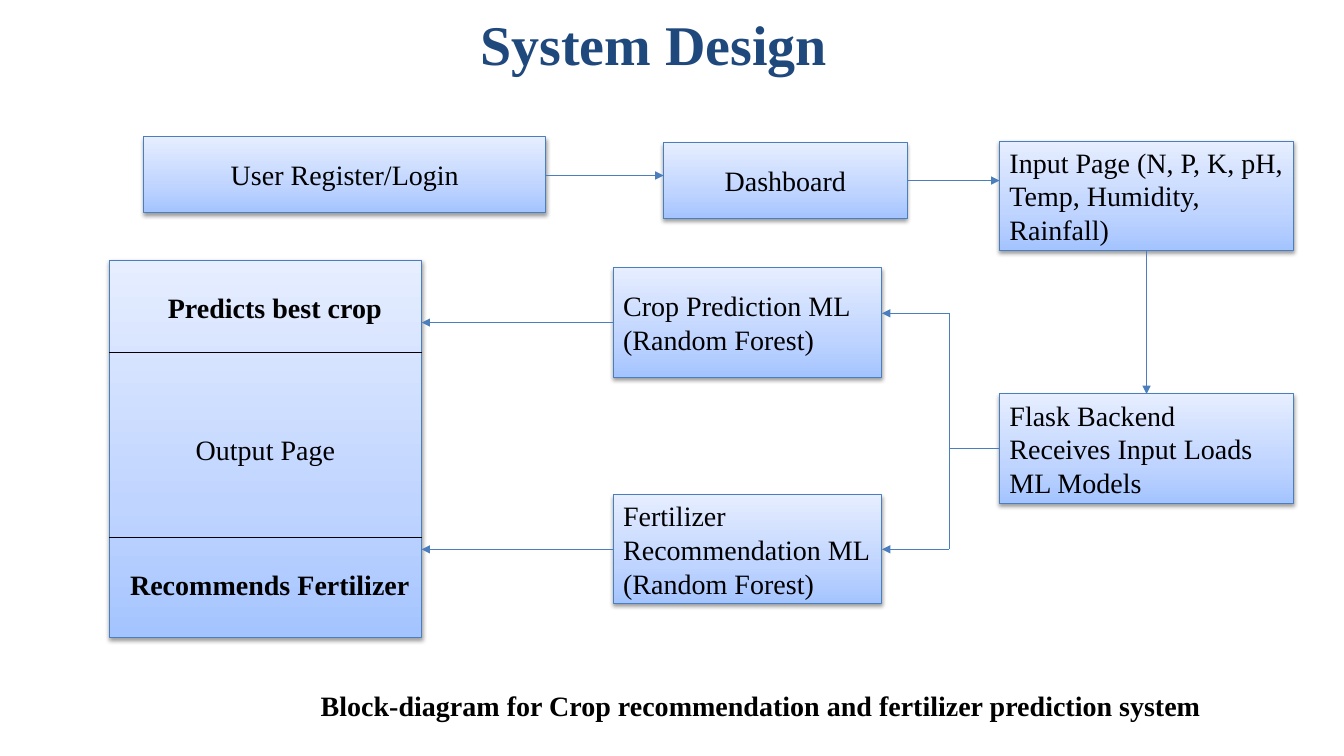
from dataclasses import dataclass

from lxml.etree import SubElement
from pptx import Presentation
from pptx.dml.color import RGBColor as RGB
from pptx.enum.shapes import MSO_CONNECTOR as Link, MSO_SHAPE as Kind
from pptx.enum.text import MSO_ANCHOR as Anchor, PP_ALIGN as Align
from pptx.oxml import parse_xml
from pptx.oxml.ns import nsdecls, qn
from pptx.shapes.autoshape import Shape
from pptx.util import Emu, Inches, Pt

# Grid: 160 columns by 90 rows of square cells
COLS, ROWS = 160, 90
CELL = Inches(7.5) / ROWS

FONT = "Times New Roman"
NAVY = RGB(0x1F, 0x48, 0x7C)
BLUE = RGB(0x4B, 0x7E, 0xBC)
BLACK = RGB(0, 0, 0)
LOW = RGB(0xA4, 0xC4, 0xFF)
MID = RGB(0xBF, 0xD4, 0xFF)
HIGH = RGB(0xE6, 0xEE, 0xFF)
STOPS = ((0, LOW), (35, MID), (100, HIGH))


@dataclass
class Box:
    text: str
    col: float
    row: float
    wide: float
    high: float
    align: Align = Align.LEFT


@dataclass
class Line:
    start: tuple[float, float]
    end: tuple[float, float]
    arrow: bool = True
    color: RGB = BLUE


@dataclass
class Label:
    text: str
    col: float
    row: float
    wide: float


# Blocks of the diagram; 13 rows hold three lines of text
LOGIN = Box("User Register/Login", 17.1, 16.3, 47.9, 9, Align.CENTER)
DASH = Box("Dashboard", 79, 17, 29, 9, Align.CENTER)
INPUT = Box("Input Page (N, P, K, pH, Temp, Humidity, Rainfall)", 119, 16.8, 35, 13)
BACK = Box("Flask Backend Receives Input Loads ML Models", 119, 46.9, 35, 13)
CROP = Box("Crop Prediction ML (Random Forest)", 73, 31.9, 32, 13)
FERT = Box("Fertilizer Recommendation ML (Random Forest)", 73, 58.9, 32, 13)
OUT = Box("Output Page", 13, 31, 37.2, 44.9, Align.CENTER)
BOXES = (LOGIN, DASH, INPUT, BACK, CROP, FERT, OUT)


def right(box: Box) -> float:
    return box.col + box.wide


# Flow lines, the fork to both models, and the dividers of the output block
FORK, TOP, BASE = 113, 37.3, 65.4
DROP = 136.5
MODEL = 38.4
SPLIT = 53.4
LINES = (
    Line((right(LOGIN), 20.9), (DASH.col, 20.9)),
    Line((right(DASH), 21.5), (INPUT.col, 21.5)),
    Line((DROP, INPUT.row + INPUT.high), (DROP, BACK.row)),
    Line((BACK.col, SPLIT), (FORK, SPLIT), arrow=False),
    Line((FORK, TOP), (FORK, BASE), arrow=False),
    Line((FORK, TOP), (right(CROP), TOP)),
    Line((FORK, BASE), (right(FERT), BASE)),
    Line((CROP.col, MODEL), (right(OUT), MODEL)),
    Line((FERT.col, BASE), (right(OUT), BASE)),
    *(Line((OUT.col, row), (right(OUT), row), False, BLACK) for row in (42, 64)),
)

LABELS = (
    Label("Block-diagram for Crop recommendation and fertilizer prediction system",
          37, 81.4, 108.2),
    Label("Predicts best crop", 18.8, 34, 28.2),
    Label("Recommends Fertilizer", 14.3, 67, 35.9),
)


def grid(*cells: float) -> list[Emu]:
    return [Emu(round(n * CELL)) for n in cells]


def write(shape: Shape, text: str, *, size: float = 20, color: RGB = BLACK,
          bold: bool = False, align: Align = Align.LEFT,
          anchor: Anchor = Anchor.TOP, wrap: bool = True) -> None:
    frame = shape.text_frame
    frame.word_wrap = wrap
    frame.vertical_anchor = anchor
    para = frame.paragraphs[0]
    para.alignment = align
    run = para.add_run()
    run.text = text
    font = run.font
    font.name, font.size, font.bold = FONT, Pt(size), bold
    font.color.rgb = color


def shade(shape: Shape) -> None:
    """Fill with the blue gradient and cast a soft shadow downwards."""
    stops = "".join(f'<a:gs pos="{pos * 1000}"><a:srgbClr val="{color}"/></a:gs>'
                    for pos, color in STOPS)
    props = shape.element.spPr
    props.find(qn("a:prstGeom")).addnext(parse_xml(
        f'<a:gradFill {nsdecls("a")} rotWithShape="1"><a:gsLst>{stops}</a:gsLst>'
        '<a:lin ang="16200000" scaled="0"/></a:gradFill>'))
    shape.shadow.inherit = False
    props.find(qn("a:effectLst")).append(parse_xml(
        f'<a:outerShdw {nsdecls("a")} blurRad="{Pt(3.1)}" dist="{Pt(1.6)}" '
        f'dir="5400000" rotWithShape="0"><a:srgbClr val="{BLACK}">'
        '<a:alpha val="38000"/></a:srgbClr></a:outerShdw>'))


def block(shapes, box: Box) -> None:
    shape = shapes.add_shape(
        Kind.RECTANGLE, *grid(box.col, box.row, box.wide, box.high))
    shade(shape)
    shape.line.color.rgb = BLUE
    shape.line.width = Pt(0.75)
    write(shape, box.text, align=box.align, anchor=Anchor.MIDDLE)


def link(shapes, line: Line) -> None:
    shape = shapes.add_connector(Link.STRAIGHT, *grid(*line.start, *line.end))
    shape.line.color.rgb = line.color
    shape.line.width = Pt(0.75)
    if line.arrow:
        SubElement(shape.line._get_or_add_ln(), qn("a:tailEnd"), type="triangle")
    SubElement(shape.element.spPr, qn("a:effectLst"))


def main() -> None:
    deck = Presentation()
    deck.slide_width, deck.slide_height = grid(COLS, ROWS)
    shapes = deck.slides.add_slide(deck.slide_layouts[6]).shapes

    # Title
    title = shapes.add_textbox(*grid(57.2, 1, 45.7, 8.3))
    frame = title.text_frame
    frame.margin_left = frame.margin_right = frame.margin_bottom = 0
    frame.margin_top = Inches(0.01)
    write(title, "System Design", size=40, color=NAVY, bold=True)

    # Diagram
    for box in BOXES:
        block(shapes, box)
    for line in LINES:
        link(shapes, line)

    # Bold labels and caption
    for label in LABELS:
        area = shapes.add_textbox(*grid(label.col, label.row, label.wide, 5.3))
        write(area, label.text, bold=True, wrap=False)

    deck.save("out.pptx")


if __name__ == "__main__":
    main()
